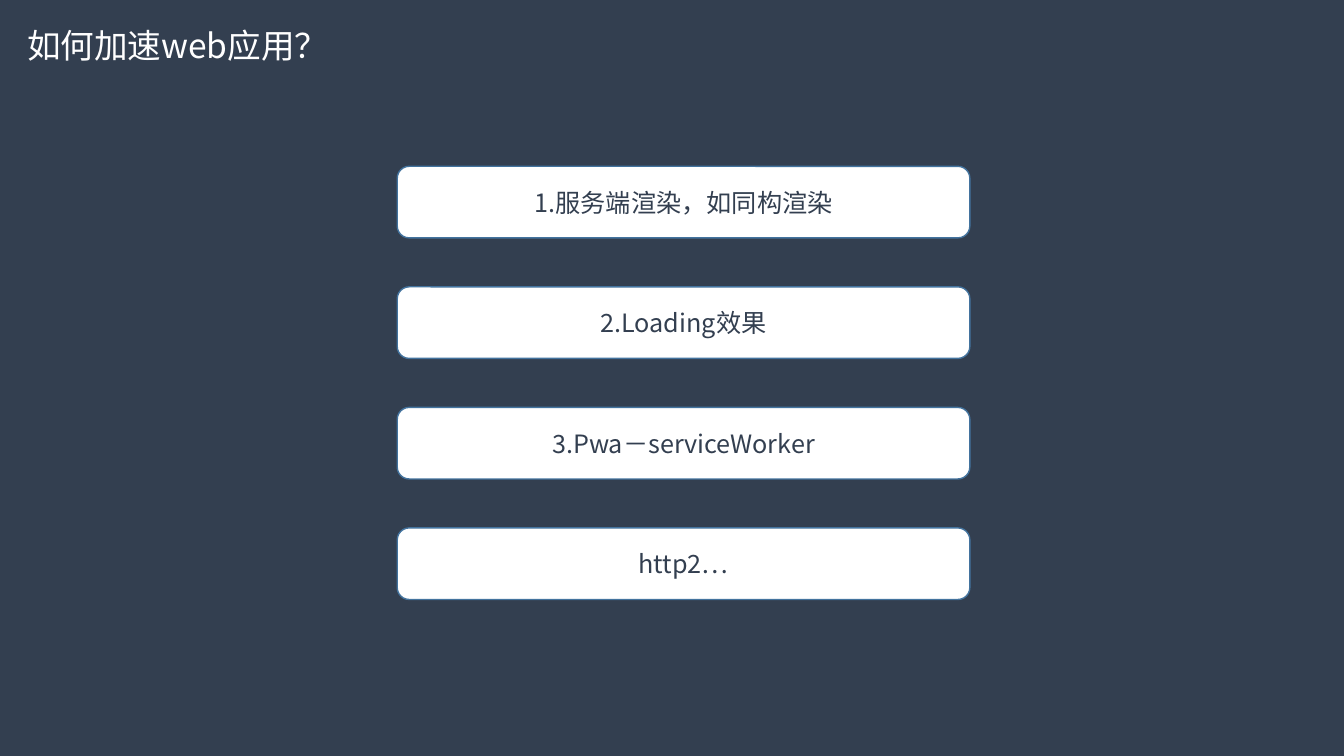
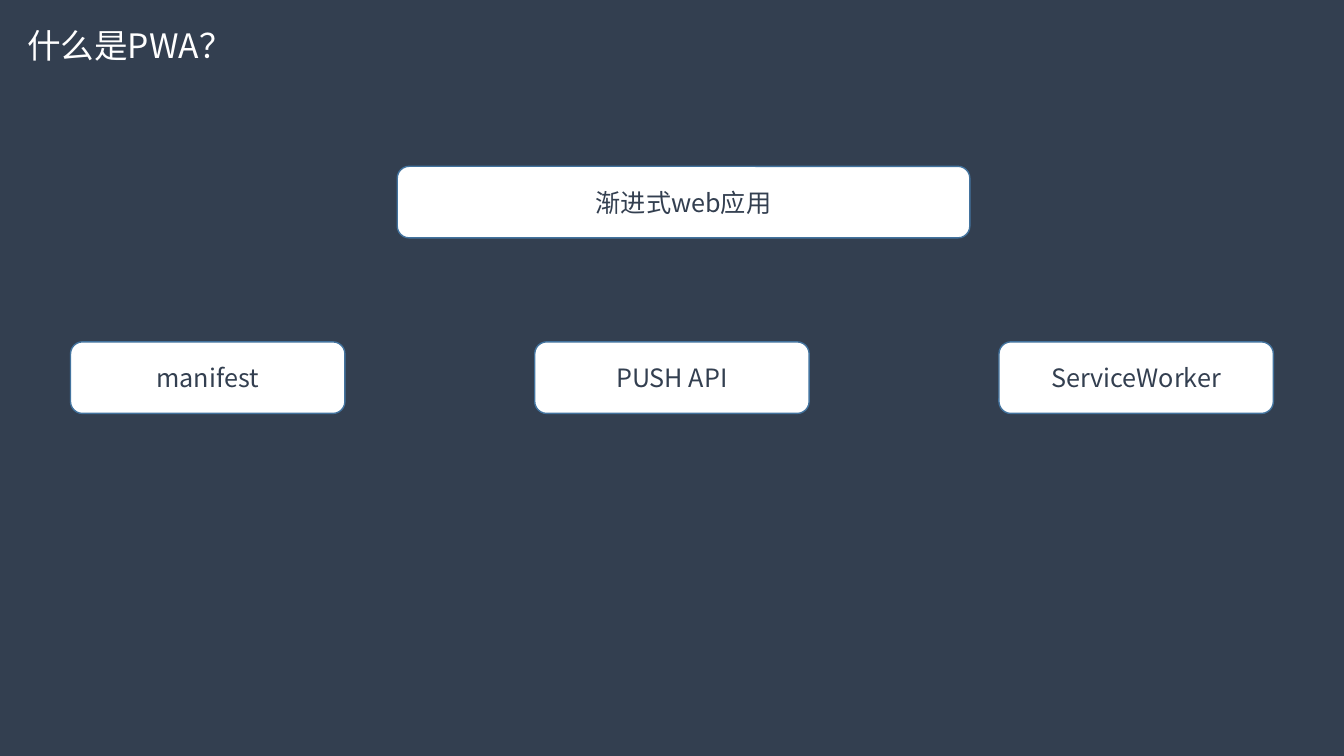
from dataclasses import dataclass

from lxml.etree import SubElement
from pptx import Presentation
from pptx.dml.color import RGBColor
from pptx.enum.shapes import MSO_SHAPE as Preset
from pptx.enum.text import MSO_ANCHOR as Anchor, MSO_AUTO_SIZE as AutoSize, PP_ALIGN as Align
from pptx.oxml.ns import qn
from pptx.slide import Slide
from pptx.text.text import TextFrame
from pptx.util import Pt

NAVY = RGBColor(0x33, 0x3F, 0x50)
WHITE = RGBColor(0xFF, 0xFF, 0xFF)
EDGE_BLUE = RGBColor(0x43, 0x73, 0x9E)
FONT = "Noto Sans CJK SC"

SLIDE_WIDTH, SLIDE_HEIGHT = 960, 540
TITLE_BOX = (12.24, 14.4, 206.64, 36)
CARD_HEIGHT = 51.12
WIDE_LEFT, WIDE_TOP, WIDE_WIDTH = 283.75, 118.8, 409
STEP_PITCH = 86.1
PART_TOP, PART_WIDTH, PART_MARGIN = 244.2, 196, 50.4


@dataclass(frozen=True)
class Card:
    """A labelled rounded card, with lengths in points."""
    label: str
    left: float = WIDE_LEFT
    top: float = WIDE_TOP
    width: float = WIDE_WIDTH


@dataclass(frozen=True)
class Topic:
    """The title and cards of one slide."""
    title: str
    cards: list[Card]


def write(frame: TextFrame, wording: str, size: float, color: RGBColor, align: Align) -> None:
    """Put one formatted line of text into a frame."""
    frame.word_wrap = True
    frame.text = wording
    paragraph = frame.paragraphs[0]
    paragraph.alignment = align
    for run in paragraph.runs:
        run.font.size = Pt(size)
        run.font.name = FONT
        run.font.color.rgb = color
        SubElement(run.font._element, qn("a:ea"), typeface=FONT)


def draw_title(slide: Slide, title: str) -> None:
    """Draw the title in the top left corner."""
    frame = slide.shapes.add_textbox(*map(Pt, TITLE_BOX)).text_frame
    write(frame, title, 24, WHITE, Align.LEFT)
    frame.auto_size = AutoSize.SHAPE_TO_FIT_TEXT


def draw_card(slide: Slide, card: Card) -> None:
    """Draw a white rounded card with a centred label."""
    bounds = (card.left, card.top, card.width, CARD_HEIGHT)
    panel = slide.shapes.add_shape(Preset.ROUNDED_RECTANGLE, *map(Pt, bounds))
    panel.shadow.inherit = False
    panel.fill.solid()
    panel.fill.fore_color.rgb = WHITE
    panel.line.color.rgb = EDGE_BLUE
    panel.line.width = Pt(1)
    panel.text_frame.vertical_anchor = Anchor.MIDDLE
    write(panel.text_frame, card.label, 18, NAVY, Align.CENTER)


def stack_steps(labels: list[str]) -> list[Card]:
    """Stack wide cards at an equal pitch."""
    return [Card(label, top=WIDE_TOP + row * STEP_PITCH) for row, label in enumerate(labels)]


def spread_parts(labels: list[str]) -> list[Card]:
    """Spread narrow cards evenly between the side margins."""
    pitch = (SLIDE_WIDTH - 2 * PART_MARGIN - PART_WIDTH) / (len(labels) - 1)
    return [Card(label, PART_MARGIN + column * pitch, PART_TOP, PART_WIDTH)
            for column, label in enumerate(labels)]


def build_slide(deck: Presentation, topic: Topic) -> None:
    """Add one slide with its background, title and cards."""
    slide = deck.slides.add_slide(deck.slide_layouts[6])
    slide.background.fill.solid()
    slide.background.fill.fore_color.rgb = NAVY
    draw_title(slide, topic.title)
    for card in topic.cards:
        draw_card(slide, card)


TOPICS = [
    Topic("如何加速web应用？", stack_steps([
        "1.服务端渲染，如同构渲染",
        "2.Loading效果",
        "3.Pwa－serviceWorker",
        "http2…",
    ])),
    Topic("什么是PWA？", [
        Card("渐进式web应用"),
        *spread_parts(["manifest", "PUSH API", "ServiceWorker"]),
    ]),
]


def main() -> None:
    """Build and save the deck."""
    deck = Presentation()
    deck.slide_width, deck.slide_height = Pt(SLIDE_WIDTH), Pt(SLIDE_HEIGHT)
    for topic in TOPICS:
        build_slide(deck, topic)
    deck.save("out.pptx")


main()
